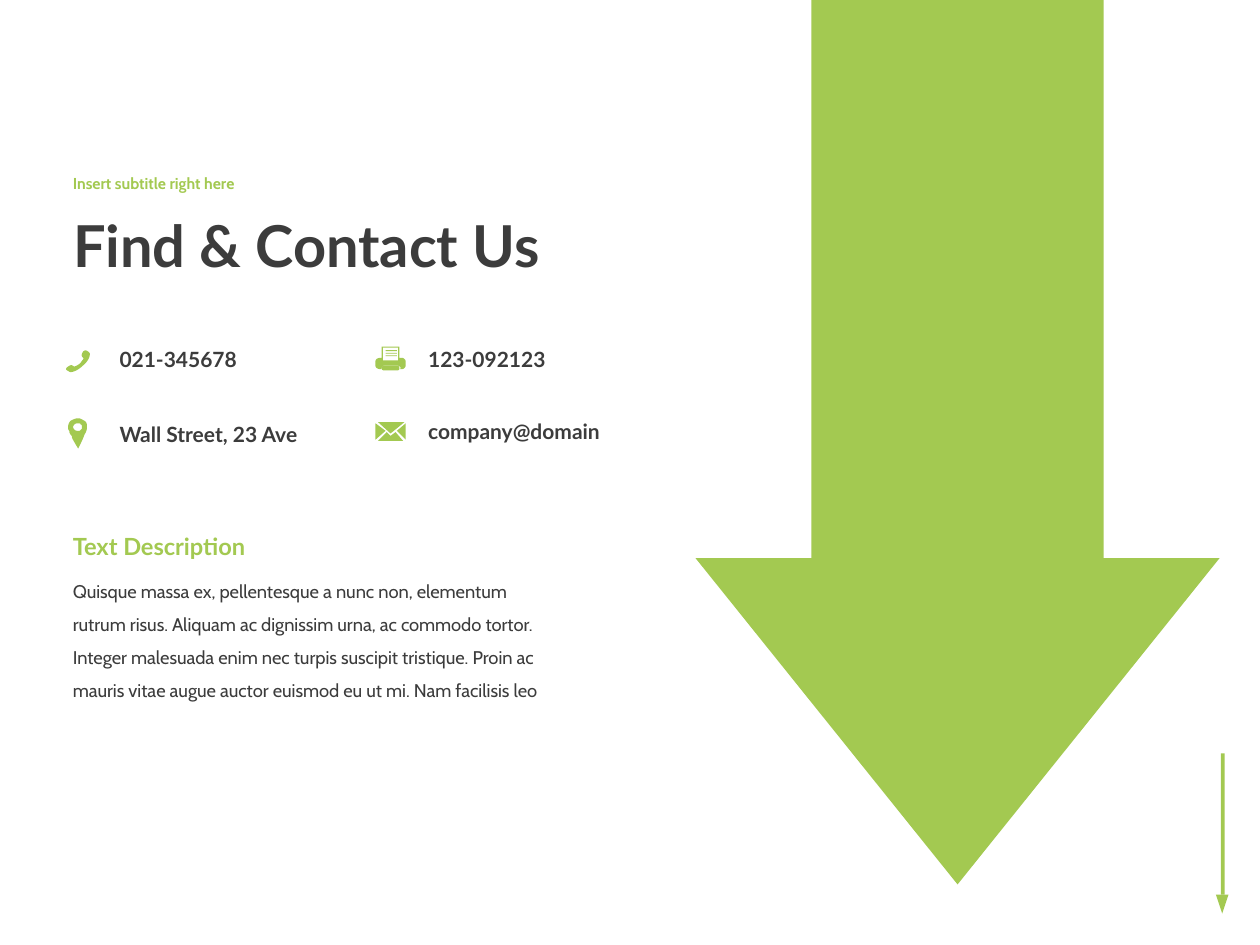
import pptx
import pptx.util
import pptx.dml.color
import pptx.enum.shapes
import pptx.enum.text

Inches = pptx.util.Inches
Pt = pptx.util.Pt
SHAPES = pptx.enum.shapes.MSO_SHAPE
ANCHOR = pptx.enum.text.MSO_ANCHOR
AUTO_SIZE = pptx.enum.text.MSO_AUTO_SIZE

COLORS = {"green": "A3C951", "dark": "3C3C3C"}

TITLE = ("Find & Contact Us", (0.48, 1.46, 5.63, 1.03), "Lato", 33, "dark", True, 0.9)
SUBTITLE = ("Insert subtitle right here", (0.48, 1.27, 5.63, 0.38), "Cabin", 9, "green", True, 0.9)
DESCRIPTION = (
    "Quisque massa ex, pellentesque a nunc non, elementum rutrum risus. "
    "Aliquam ac dignissim urna, ac commodo tortor. Integer malesuada enim nec "
    "turpis suscipit tristique. Proin ac mauris vitae augue auctor euismod eu "
    "ut mi. Nam facilisis leo"
)
TEXTS = [
    (DESCRIPTION, (0.48, 4.47, 4, 1.13), "Cabin", 10.5, "dark", False, 1.5),
    ("Text Description", (0.48, 4.17, 2.19, 0.33), "Lato", 13.5, "green", True, 1),
]
CONTACTS = [
    ("021-345678", (0.85, 2.7, 1.65, 0.3)),
    ("company@domain", (3.3, 3.27, 2.3, 0.3)),
    ("123-092123", (3.3, 2.7, 2.3, 0.3)),
    ("Wall Street, 23 Ave", (0.85, 3.3, 2.02, 0.3)),
]

BIG_ARROW = [[(6.44, -0.44), (8.76, -0.44), (8.76, 4.43), (9.68, 4.43),
              (7.6, 7.02), (5.52, 4.43), (6.44, 4.43)]]
PHONE = [[
    (0.66, 2.84), (0.65, 2.83, 0.64, 2.82, 0.66, 2.79), (0.68, 2.77, 0.7, 2.79, 0.71, 2.8),
    (0.72, 2.81, 0.71, 2.86, 0.66, 2.9), (0.61, 2.95, 0.56, 2.96, 0.55, 2.95),
    (0.53, 2.94, 0.51, 2.93, 0.54, 2.91), (0.57, 2.89, 0.57, 2.9, 0.59, 2.91),
    (0.59, 2.91, 0.62, 2.9, 0.64, 2.88), (0.65, 2.86, 0.67, 2.85, 0.66, 2.84),
]]
PIN = [
    [(0.56, 3.34), (0.58, 3.33, 0.6, 3.32, 0.62, 3.32), (0.64, 3.32, 0.65, 3.33, 0.67, 3.34),
     (0.69, 3.35, 0.69, 3.37, 0.69, 3.39), (0.69, 3.4, 0.69, 3.42, 0.67, 3.45),
     (0.66, 3.48, 0.65, 3.5, 0.64, 3.52), (0.62, 3.56), (0.59, 3.51),
     (0.58, 3.49, 0.57, 3.48, 0.57, 3.46), (0.56, 3.45, 0.55, 3.44, 0.55, 3.42),
     (0.54, 3.41, 0.54, 3.4, 0.54, 3.39), (0.54, 3.37, 0.55, 3.35, 0.56, 3.34)],
    [(0.59, 3.41), (0.6, 3.42, 0.61, 3.42, 0.62, 3.42), (0.63, 3.42, 0.64, 3.42, 0.64, 3.41),
     (0.65, 3.41, 0.65, 3.4, 0.65, 3.39), (0.65, 3.38, 0.65, 3.37, 0.64, 3.37),
     (0.64, 3.36, 0.63, 3.36, 0.62, 3.36), (0.61, 3.36, 0.6, 3.36, 0.59, 3.37),
     (0.59, 3.37, 0.58, 3.38, 0.58, 3.39), (0.58, 3.4, 0.59, 3.41, 0.59, 3.41)],
]
PRINTER_TRAY = [[
    (3.15, 2.9), (3.06, 2.9), (3.04, 2.9, 3.03, 2.91, 3.03, 2.92),
    (3.03, 2.94, 3.04, 2.94, 3.06, 2.94), (3.15, 2.94),
    (3.16, 2.94, 3.17, 2.94, 3.17, 2.92), (3.17, 2.91, 3.16, 2.9, 3.15, 2.9),
]]
PRINTER_BODY = [
    [(3.19, 2.84), (3.17, 2.84), (3.17, 2.75), (3.03, 2.75), (3.03, 2.84), (3.02, 2.84),
     (3, 2.84, 2.98, 2.85, 2.98, 2.87), (2.98, 2.9), (2.98, 2.92, 3, 2.93, 3.02, 2.93),
     (3.03, 2.93), (3.03, 2.93, 3.03, 2.93, 3.03, 2.92), (3.03, 2.91, 3.04, 2.9, 3.06, 2.9),
     (3.15, 2.9), (3.16, 2.9, 3.18, 2.91, 3.18, 2.92), (3.18, 2.93, 3.17, 2.93, 3.17, 2.93),
     (3.19, 2.93), (3.2, 2.93, 3.22, 2.92, 3.22, 2.9), (3.22, 2.87),
     (3.22, 2.85, 3.2, 2.84, 3.19, 2.84)],
    [(3.04, 2.76), (3.16, 2.76), (3.16, 2.86), (3.04, 2.86)],
]
PAPER_LINE_TOPS = [2.78, 2.8, 2.82]
ENVELOPE = [
    [[(3, 3.35), (3.21, 3.35), (3.1, 3.44)]],
    [[(3.22, 3.36), (3.15, 3.42), (3.22, 3.49)]],
    [[(2.98, 3.36), (2.98, 3.49), (3.06, 3.42)]],
    [[(3.1, 3.46), (3.07, 3.43), (3, 3.5), (3.2, 3.5), (3.14, 3.43)]],
]
CURVE_STEPS = 8


def color(name):
    return pptx.dml.color.RGBColor.from_string(COLORS[name])


def paint(shape):
    shape.shadow.inherit = False
    shape.fill.solid()
    shape.fill.fore_color.rgb = color("green")
    shape.line.fill.background()


def flatten(contour):
    points = [contour[0]]
    for segment in contour[1:]:
        if len(segment) == 2:
            points.append(segment)
            continue
        controls = [points[-1], segment[:2], segment[2:4], segment[4:]]
        for step in range(1, CURVE_STEPS + 1):
            t = step / CURVE_STEPS
            weights = [(1 - t) ** 3, 3 * t * (1 - t) ** 2, 3 * t * t * (1 - t), t ** 3]
            points.append(tuple(sum(w * point[axis] for w, point in zip(weights, controls))
                                for axis in (0, 1)))
    return [(Inches(x), Inches(y)) for x, y in points]


def draw_outline(shapes, contours):
    outlines = [flatten(contour) for contour in contours]
    builder = shapes.build_freeform(*outlines[0][0])
    for index, points in enumerate(outlines):
        if index:
            builder.move_to(*points[0])
        builder.add_line_segments(points[1:], close=True)
    paint(builder.convert_to_shape())


def add_preset(shapes, kind, left, top, width, height):
    shape = shapes.add_shape(kind, left, top, width, height)
    paint(shape)
    return shape


def write(shape, text, box, font_name, size, color_name, bold, spacing,
          anchor=ANCHOR.TOP, auto_size=AUTO_SIZE.SHAPE_TO_FIT_TEXT):
    shape.left, shape.top, shape.width, shape.height = map(Inches, box)
    frame = shape.text_frame
    frame.text = text
    frame.word_wrap = True
    frame.auto_size = auto_size
    frame.vertical_anchor = anchor
    paragraph = frame.paragraphs[0]
    paragraph.alignment = pptx.enum.text.PP_ALIGN.LEFT
    paragraph.line_spacing = spacing
    paragraph.space_before = Pt(0)
    paragraph.font.name = font_name
    paragraph.font.size = Pt(size)
    paragraph.font.bold = bold
    paragraph.font.color.rgb = color(color_name)


def main():
    presentation = pptx.Presentation()
    presentation.slide_width, presentation.slide_height = Inches(10), Inches(7.5)
    slide = presentation.slides.add_slide(presentation.slide_layouts[5])
    shapes = slide.shapes

    add_preset(shapes, SHAPES.RECTANGLE, *map(Inches, (9.69, 5.98, 0.03, 1.12)))
    arrow_tip = add_preset(shapes, SHAPES.ISOSCELES_TRIANGLE,
                           *map(Inches, (9.65, 7.1, 0.1, 0.15)))
    arrow_tip.rotation = 180
    draw_outline(shapes, BIG_ARROW)

    write(shapes.title, *TITLE, anchor=ANCHOR.MIDDLE, auto_size=AUTO_SIZE.NONE)
    write(shapes.add_textbox(0, 0, 0, 0), *SUBTITLE,
          anchor=ANCHOR.MIDDLE, auto_size=AUTO_SIZE.NONE)
    contact_texts = [(text, box, "Lato", 12, "dark", True, 1) for text, box in CONTACTS]
    for item in TEXTS + contact_texts:
        write(shapes.add_textbox(0, 0, 0, 0), *item)

    draw_outline(shapes, PHONE)
    draw_outline(shapes, PIN)
    printer = shapes.add_group_shape().shapes
    draw_outline(printer, PRINTER_TRAY)
    draw_outline(printer, PRINTER_BODY)
    for top in PAPER_LINE_TOPS:
        add_preset(printer, SHAPES.RECTANGLE, Inches(3.06), Inches(top), Inches(0.09), Pt(0.5))
    envelope = shapes.add_group_shape().shapes
    for part in ENVELOPE:
        draw_outline(envelope, part)

    presentation.save("out.pptx")


if __name__ == "__main__":
    main()
